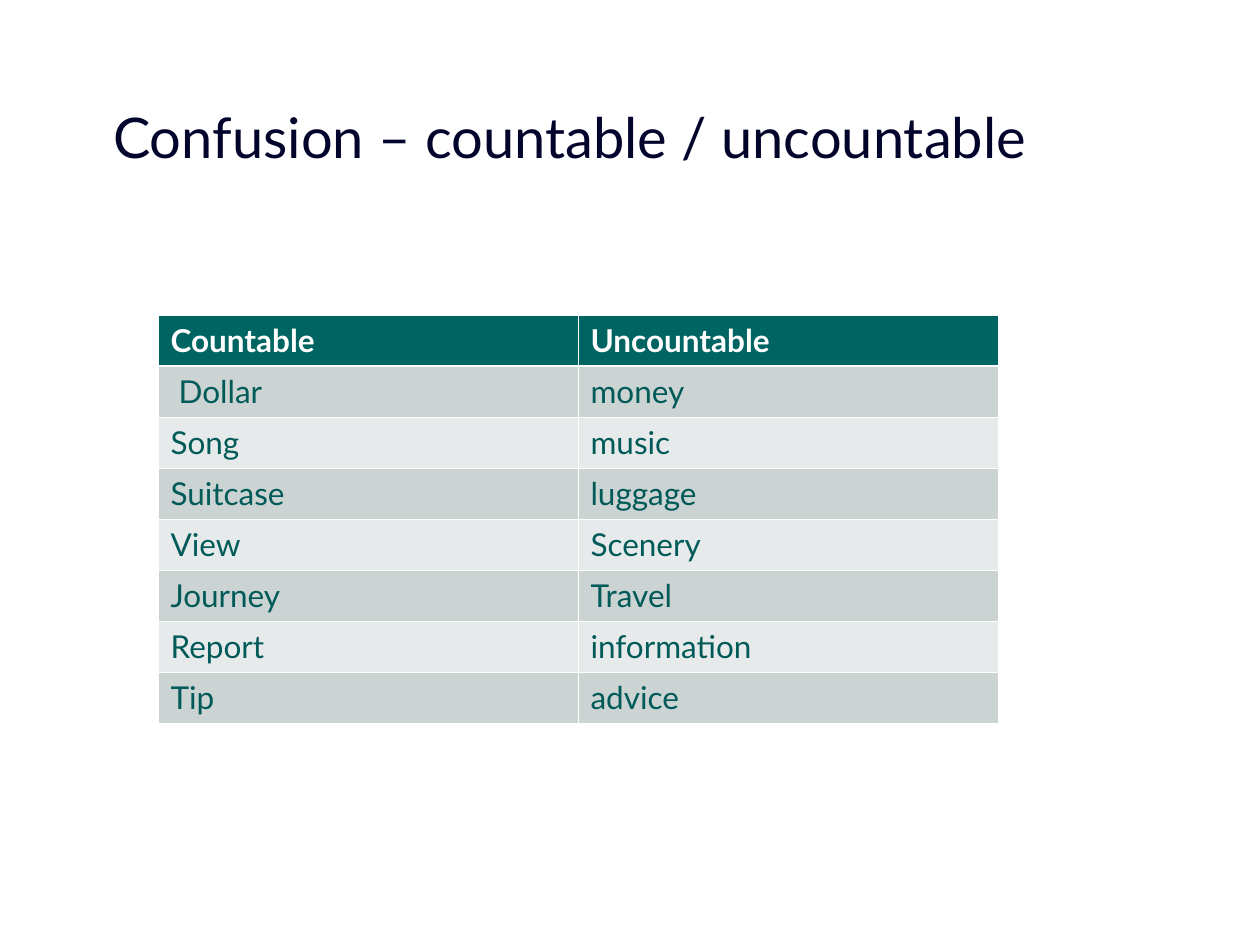
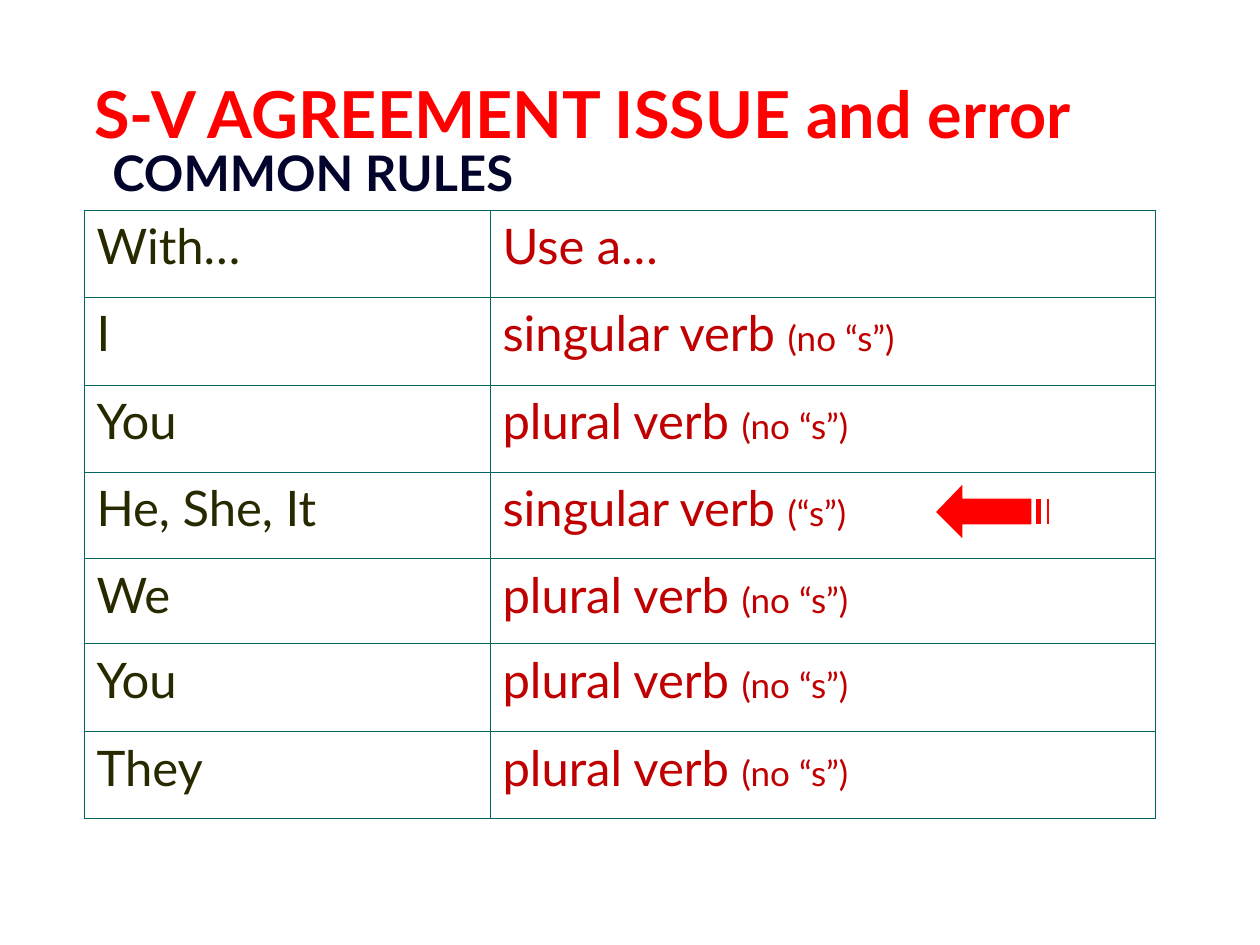
import pptx
import pptx.dml.color
import pptx.enum.text
import pptx.oxml
import pptx.oxml.ns
import pptx.util

ALIGN = pptx.enum.text.PP_ALIGN
ANCHOR = pptx.enum.text.MSO_ANCHOR
SCALE = 914400 / 126
FONT = "Lato"
WHITE, TEAL, NAVY, RED = "FFFFFF", "006462", "03042B", "FF0000"
MOSS, WINE, PINE = "292900", "C00000", "005A58"
BANDS = ("CBD3D3", "E7EAEA")


def emu(px):
    return pptx.util.Emu(round(px * SCALE))


def hue(code):
    return pptx.dml.color.RGBColor.from_string(code)


class Deck:
    """Holds the shared style and the current slide, and draws each element."""

    def __init__(self):
        self.show = pptx.Presentation()
        self.show.slide_width = emu(1260)
        self.show.slide_height = emu(945)

    def page(self):
        self.slide = self.show.slides.add_slide(self.show.slide_layouts[6])

    def style(self, font, size, color, bold=False):
        font.name = FONT
        font.size = pptx.util.Pt(size)
        font.bold = bold
        font.color.rgb = hue(color)

    def title(self, box, text, size, color, bold=False, align=ALIGN.LEFT, anchor=ANCHOR.TOP):
        frame = self.slide.shapes.add_textbox(*map(emu, box)).text_frame
        frame.word_wrap = True
        frame.vertical_anchor = anchor
        para = frame.paragraphs[0]
        para.text = text
        para.alignment = align
        self.style(para.font, size, color, bold)

    def table(self, left, top, cols, rows):
        shape = self.slide.shapes.add_table(
            len(rows), len(cols), emu(left), emu(top), emu(sum(cols)), emu(sum(rows)))
        grid = shape.table
        grid.first_row = grid.horz_banding = False
        for col, width in zip(grid.columns, cols):
            col.width = emu(width)
        for row, height in zip(grid.rows, rows):
            row.height = emu(height)
        return grid

    def cell(self, cell, runs, color, edge, fill=None, bold=False, heavy=""):
        """Fill a cell; runs are (text, size) pairs and heavy names a thick side."""
        para = cell.text_frame.paragraphs[0]
        for text, size in runs:
            run = para.add_run()
            run.text = text
            if len(runs) > 1:
                self.style(run.font, size, color, bold)
        if len(runs) == 1:
            self.style(para.font, runs[0][1], color, bold)
        self.edges(cell, edge, heavy)
        if fill:
            cell.fill.solid()
            cell.fill.fore_color.rgb = hue(fill)
        else:
            cell.fill.background()

    def edges(self, cell, color, heavy):
        space = pptx.oxml.ns.nsdecls("a")
        props = cell._tc.get_or_add_tcPr()
        for side in "LRTB":
            width = pptx.util.Pt(1.47 if side == heavy else 0.45)
            props.append(pptx.oxml.parse_xml(
                f'<a:ln{side} {space} w="{width}"><a:solidFill>'
                f'<a:srgbClr val="{color}"/></a:solidFill></a:ln{side}>'))

    def outline(self, loops, fill, line):
        first, *others = loops
        pen = self.slide.shapes.build_freeform(*first[0], SCALE)
        pen.add_line_segments(first[1:])
        for loop in others:
            pen.move_to(*loop[0])
            pen.add_line_segments(loop[1:])
        shape = pen.convert_to_shape()
        shape.shadow.inherit = False
        shape.fill.solid()
        shape.fill.fore_color.rgb = hue(fill)
        shape.line.color.rgb = hue(line)
        shape.line.width = pptx.util.Pt(0.75)


def nouns(deck):
    deck.page()
    deck.title((-18, 84, 1176, 105), "Confusion – countable / uncountable", 32, NAVY,
               align=ALIGN.CENTER, anchor=ANCHOR.MIDDLE)
    pairs = [
        ("Countable", "Uncountable"),
        (" Dollar", "money"),
        ("Song", "music"),
        ("Suitcase", "luggage"),
        ("View", "Scenery"),
        ("Journey", "Travel"),
        ("Report", "information"),
        ("Tip", "advice"),
    ]
    grid = deck.table(158, 315, [420, 420], [51] * len(pairs))
    for r, pair in enumerate(pairs):
        for c, word in enumerate(pair):
            cell, runs = grid.cell(r, c), [(word, 18)]
            if r == 0:
                deck.cell(cell, runs, WHITE, WHITE, TEAL, True, "B")
            else:
                deck.cell(cell, runs, PINE, WHITE, BANDS[(r - 1) % 2],
                          heavy="T" if r == 1 else "")


def verbs(deck):
    deck.page()
    deck.title((100, 136, 1071, 84), "COMMON RULES", 28, NAVY, True)
    deck.title((5, 42, 1155, 116), "S-V AGREEMENT ISSUE and error", 37, RED, True,
               ALIGN.CENTER, ANCHOR.BOTTOM)
    one, many, bare = "singular verb ", "plural verb ", "(no “s”)"
    rules = [
        ("With…", "Use a…", ""),
        ("I", one, bare),
        ("You", many, bare),
        ("He, She, It", one, "(“s”)"),
        ("We", many, bare),
        ("You", many, bare),
        ("They", many, bare),
    ]
    grid = deck.table(84, 210, [406, 665], [87, 88, 87, 87, 85, 88, 87])
    for r, (who, verb, note) in enumerate(rules):
        runs = [(verb, 28), (note, 20)] if note else [(verb, 28)]
        deck.cell(grid.cell(r, 0), [(who, 28)], MOSS, TEAL)
        deck.cell(grid.cell(r, 1), runs, WINE, TEAL)
    high, low = 498, 525
    arrow = [(963, 540), (963, low), (1032, low), (1032, high),
             (963, high), (963, 483), (935, 512)]
    bars = [[(a, high), (b, high), (b, low), (a, low)]
            for a, b in ((1035, 1042), (1046, 1050))]
    deck.outline([arrow, *bars], RED, WHITE)


def main():
    deck = Deck()
    nouns(deck)
    verbs(deck)
    deck.show.save("out.pptx")


if __name__ == "__main__":
    main()
